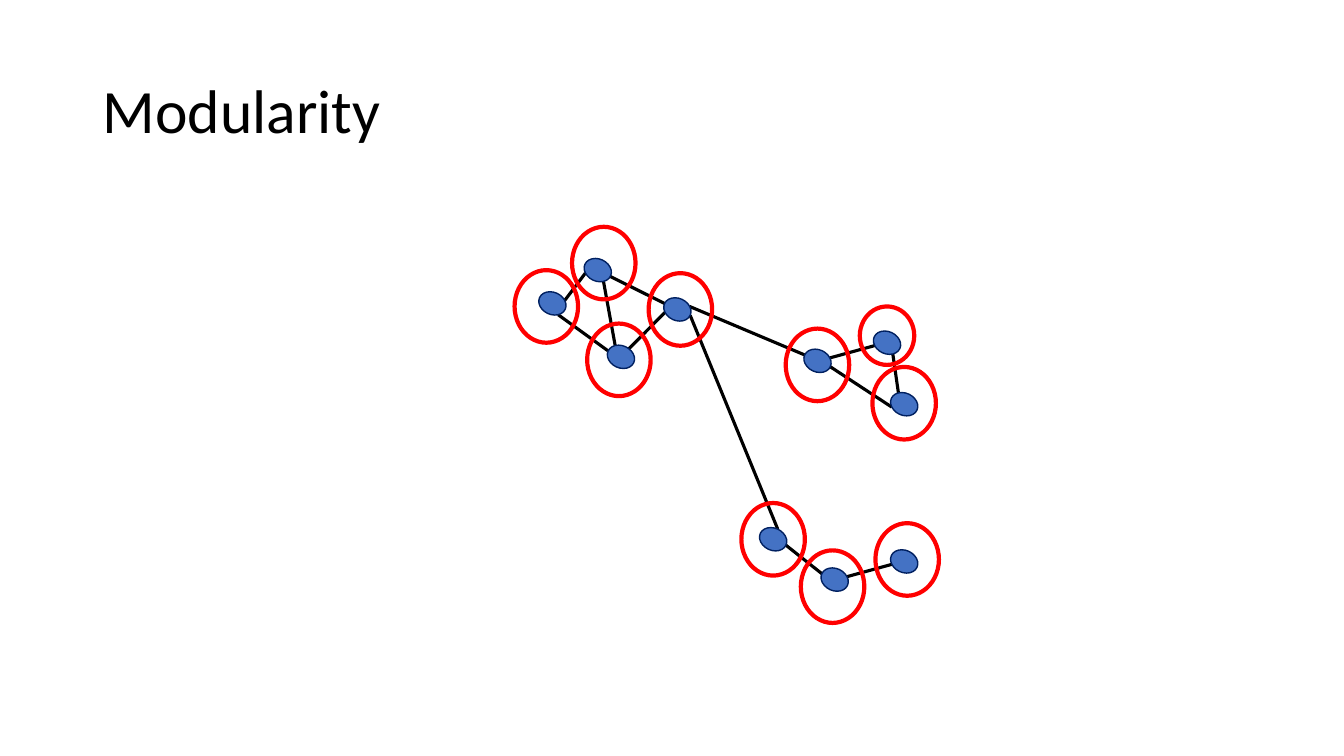
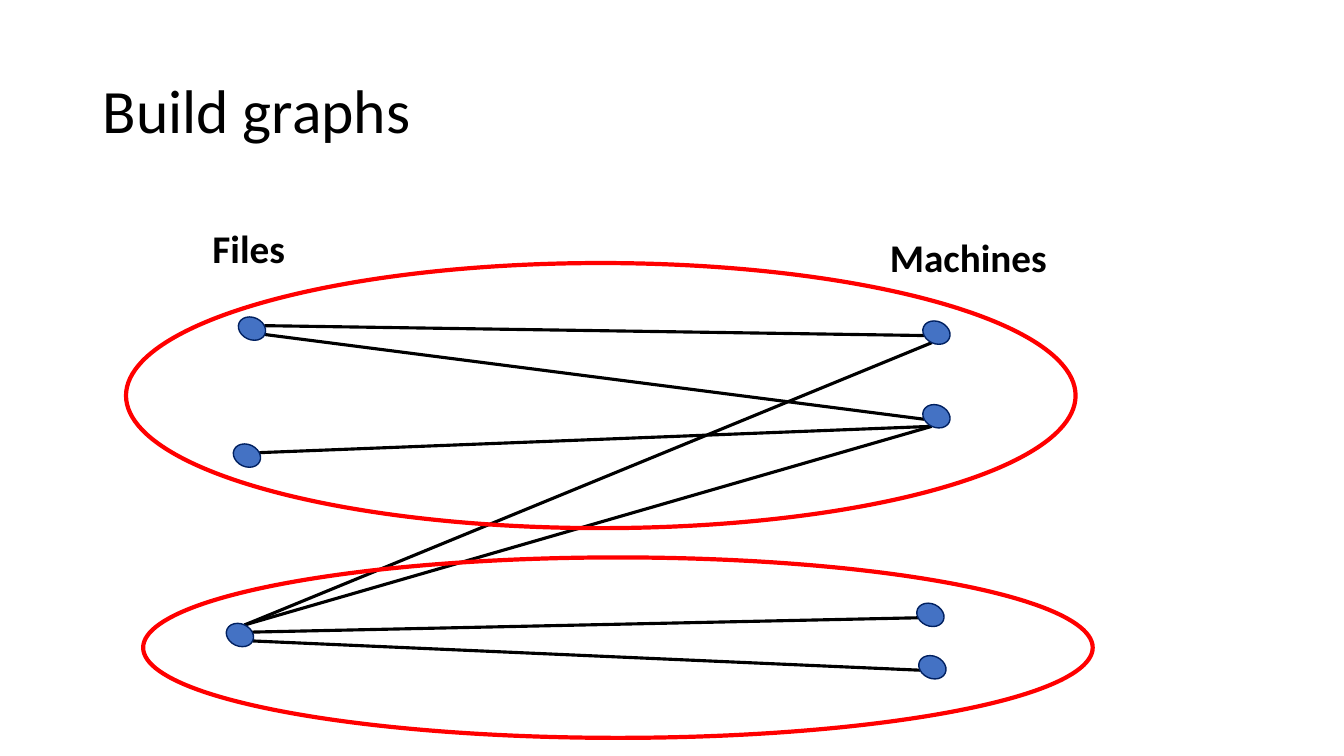
from collections import namedtuple
from math import cos, radians, sin

from lxml.etree import SubElement
from pptx import Presentation
from pptx.dml.color import RGBColor
from pptx.enum.shapes import MSO_CONNECTOR as Connector, MSO_SHAPE as Shape
from pptx.enum.text import MSO_ANCHOR as Anchor
from pptx.oxml.ns import qn
from pptx.util import Inches, Pt

CELL = 0.1
SLIDE_COLS, SLIDE_ROWS = 133.33, 75
INK, NODE_FILL, NODE_EDGE, RING = "000000", "4472C4", "002060", "FF0000"
FONT = "Calibri"
NODE_W, NODE_H, NODE_TILT = 2.8, 2.2, 24.8
RING_SIZE = (6.3, 7.2)

Box = namedtuple("Box", "col row cols rows")
SITE_ANGLES = dict(top=-90, top_left=-135, left=180, bottom_left=135,
                   bottom=90, bottom_right=45, right=0, top_right=-45)

TITLE_BOX = Box(9.2, 4, 115, 14.5)
MODULE_BOX = Box(50, 20, 45, 43)
BUILD_BOX = Box(10, 20, 100, 55)

MODULE_NODES = dict(
    west=(4.8, 10.1), north=(9.3, 6.8), south=(11.6, 15.4), hub=(17.2, 10.7),
    east_gate=(31.1, 15.8), east_top=(38, 14), east_low=(39.7, 20.1),
    low_gate=(26.7, 33.5), low_mid=(32.8, 37.5), low_end=(39.7, 35.7))
MODULE_EDGES = [
    ("hub", "top_right", "east_gate", "left"),
    ("hub", "right", "low_gate", "top"),
    ("south", "centre", "hub", "bottom_left"),
    ("north", "centre", "hub", "left"),
    ("west", "top_right", "north", "bottom_left"),
    ("west", "bottom_right", "south", "left"),
    ("low_gate", "right", "low_mid", "left"),
    ("low_end", "bottom_left", "low_mid", "top_right"),
    ("east_gate", "top_right", "east_top", "bottom_left"),
    ("east_gate", "right", "east_low", "bottom_left"),
    ("east_top", "bottom_right", "east_low", "top_left"),
    ("north", "bottom_right", "south", "top_left")]
RING_SHIFTS = dict(
    west=(-0.6, 0.3), north=(0.6, -0.7), south=(-0.2, 0.3), hub=(0.3, 0),
    east_gate=(0, 0.4), east_top=(0, -0.7), east_low=(0, -0.1),
    low_gate=(0, 0), low_mid=(-0.2, 0.7), low_end=(0.3, -0.2))
SMALL_RINGS = dict(east_top=(5.4, 5.8))

BUILD_NODES = dict(
    file_1=(15, 12.6), file_2=(14.5, 25.2), file_3=(13.8, 43),
    machine_1=(82.9, 13), machine_2=(82.9, 21.3),
    machine_3=(82.3, 41), machine_4=(82.5, 46.2))
BUILD_EDGES = [
    ("file_1", "top_right", "machine_1", "bottom_left"),
    ("file_1", "right", "machine_2", "bottom_left"),
    ("file_2", "top_right", "machine_2", "bottom"),
    ("file_3", "top_right", "machine_3", "bottom_left"),
    ("file_3", "right", "machine_4", "bottom_left"),
    ("file_3", "top", "machine_2", "bottom"),
    ("file_3", "top", "machine_1", "bottom")]
BUILD_GROUPS = [((49.6, 19.25), (94.2, 26.3)), ((51.3, 44.25), (94.2, 17.9))]
BUILD_LABELS = [("Files", Box(10.1, 1.8, 9.3, 5.7)),
                ("Machines", Box(77.3, 2.7, 17.8, 5.7))]


def grid(*cells):
    return [Inches(cell * CELL) for cell in cells]


def color(hex_code):
    return RGBColor.from_string(hex_code)


def set_line(line, hex_code, width):
    line.color.rgb = color(hex_code)
    line.width = Pt(width)


def inside(box, point):
    return box.col + point[0], box.row + point[1]


def add_text(slide, box, text, size, bold=False, wrap=True):
    frame = slide.shapes.add_textbox(*grid(*box)).text_frame
    frame.word_wrap = wrap
    frame.text = text
    font = frame.paragraphs[0].runs[0].font
    font.name, font.size, font.bold = FONT, Pt(size), bold
    font.color.rgb = color(INK)
    return frame


def add_title(slide, text):
    frame = add_text(slide, TITLE_BOX, text, 44)
    frame.vertical_anchor = Anchor.MIDDLE
    frame.paragraphs[0].line_spacing = 0.9


def add_ellipse(slide, centre, size, line_color, line_width, fill=None):
    (x, y), (width, height) = centre, size
    ellipse = slide.shapes.add_shape(
        Shape.OVAL, *grid(x - width / 2, y - height / 2, width, height))
    ellipse.shadow.inherit = False
    if fill:
        ellipse.fill.solid()
        ellipse.fill.fore_color.rgb = color(fill)
    else:
        ellipse.fill.background()
    set_line(ellipse.line, line_color, line_width)
    return ellipse


def site_point(centre, site):
    if site == "centre":
        return centre
    angle, tilt = radians(SITE_ANGLES[site]), radians(NODE_TILT)
    x, y = NODE_W / 2 * cos(angle), NODE_H / 2 * sin(angle)
    return (centre[0] + x * cos(tilt) - y * sin(tilt),
            centre[1] + x * sin(tilt) + y * cos(tilt))


def add_network(slide, box, nodes, edges):
    centres = {name: inside(box, point) for name, point in nodes.items()}
    for start, start_site, end, end_site in edges:
        edge = slide.shapes.add_connector(
            Connector.STRAIGHT,
            *grid(*site_point(centres[start], start_site),
                  *site_point(centres[end], end_site)))
        set_line(edge.line, INK, 2.25)
        SubElement(edge._element.spPr, qn("a:effectLst"))
    for centre in centres.values():
        node = add_ellipse(slide, centre, (NODE_W, NODE_H), NODE_EDGE, 1, NODE_FILL)
        node.rotation = NODE_TILT


def add_rings(slide, box, rings):
    for centre, size in rings:
        add_ellipse(slide, inside(box, centre), size, RING, 3)


def modularity_slide(slide, box):
    add_title(slide, "Modularity")
    add_network(slide, box, MODULE_NODES, MODULE_EDGES)
    add_rings(slide, box, [
        ((MODULE_NODES[name][0] + right, MODULE_NODES[name][1] + down),
         SMALL_RINGS.get(name, RING_SIZE))
        for name, (right, down) in RING_SHIFTS.items()])


def build_graphs_slide(slide, box):
    add_title(slide, "Build graphs")
    add_network(slide, box, BUILD_NODES, BUILD_EDGES)
    for text, place in BUILD_LABELS:
        label_box = Box(*inside(box, place), place.cols, place.rows)
        add_text(slide, label_box, text, 28, bold=True, wrap=False)
    add_rings(slide, box, BUILD_GROUPS)


def main():
    deck = Presentation()
    deck.slide_width, deck.slide_height = grid(SLIDE_COLS, SLIDE_ROWS)
    blank = deck.slide_layouts[6]
    for build, box in ((modularity_slide, MODULE_BOX),
                       (build_graphs_slide, BUILD_BOX)):
        build(deck.slides.add_slide(blank), box)
    deck.save("out.pptx")


if __name__ == "__main__":
    main()
